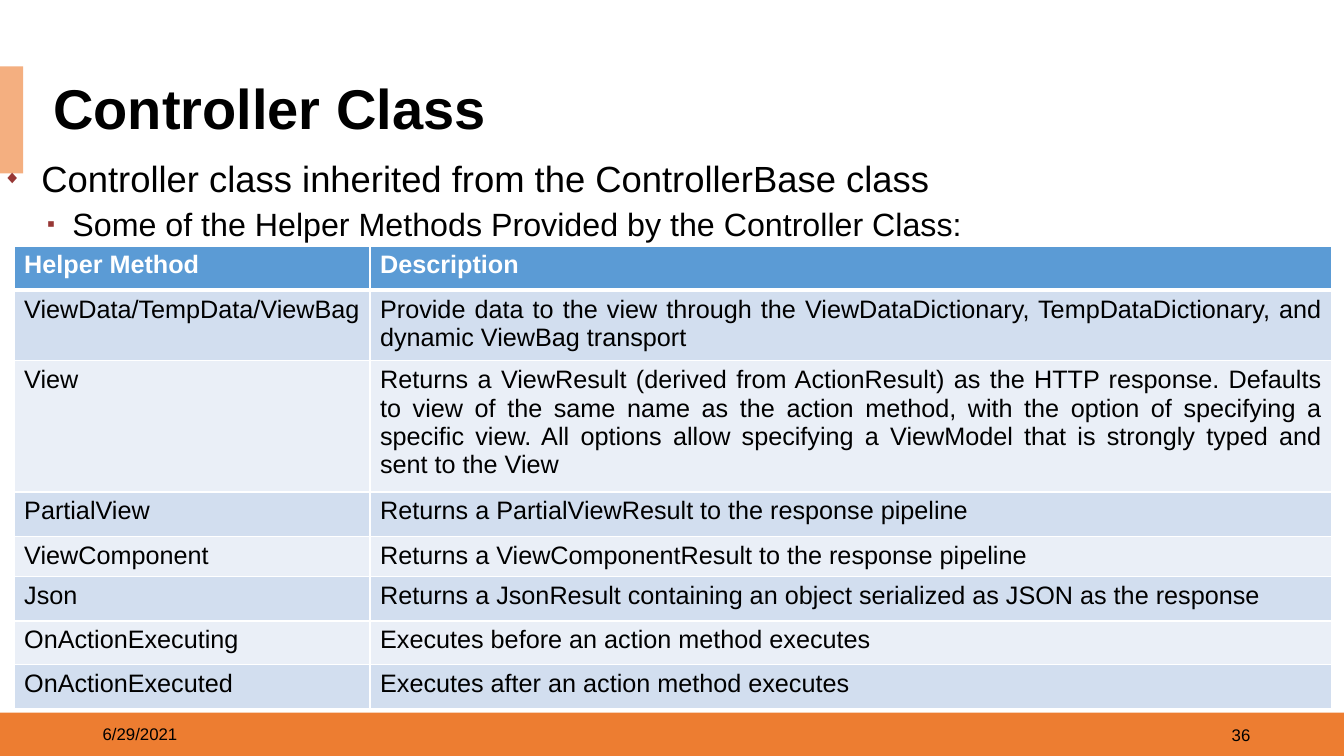
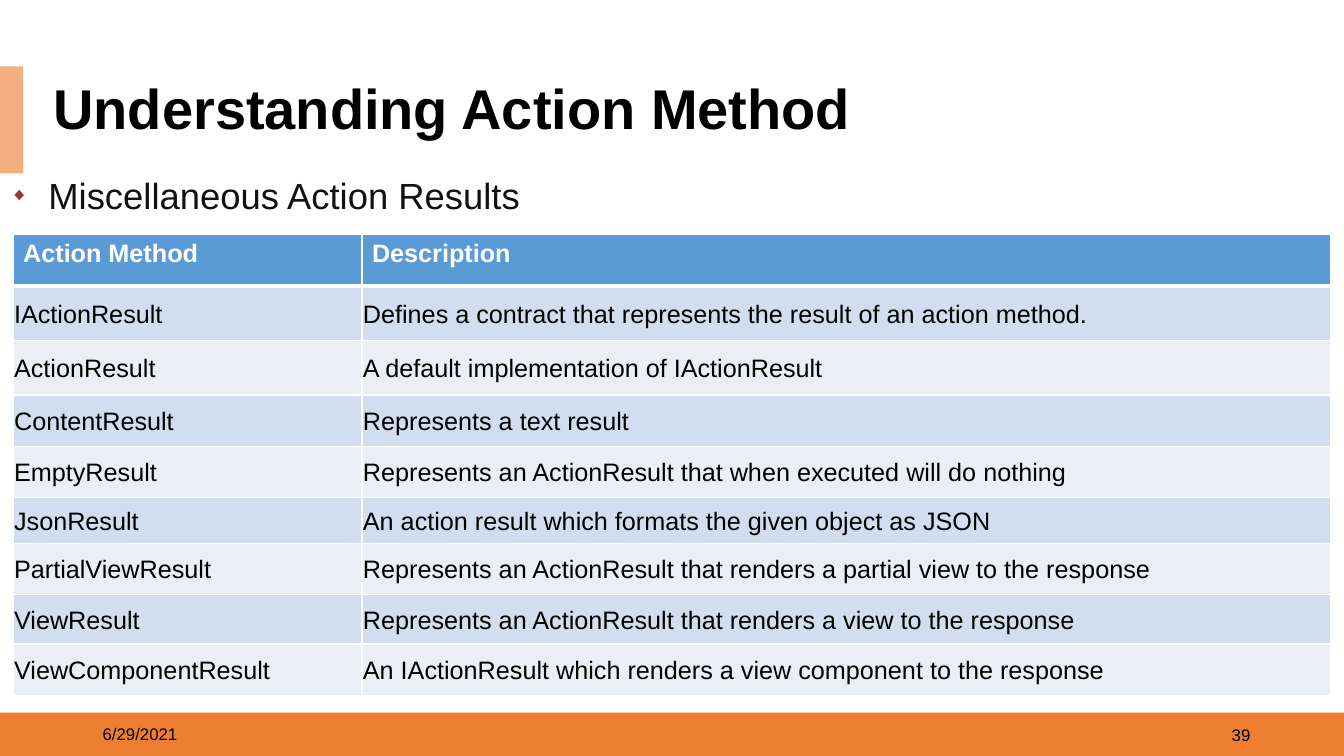
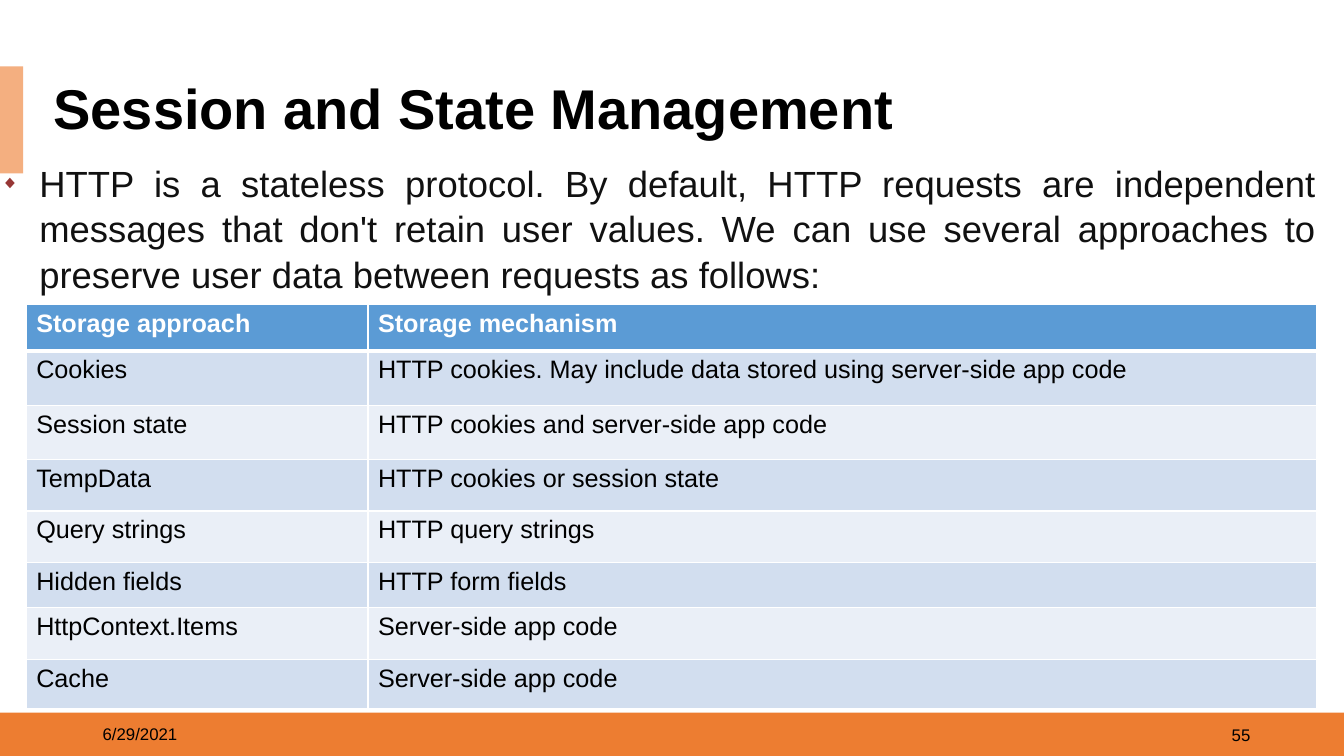
from lxml import etree
from pptx import Presentation
from pptx.dml.color import RGBColor
from pptx.enum.shapes import MSO_SHAPE
from pptx.enum.text import MSO_ANCHOR, MSO_AUTO_SIZE, PP_ALIGN
from pptx.oxml.ns import qn
from pptx.util import Inches, Pt

RECT = MSO_SHAPE.RECTANGLE
MIDDLE, TOP = MSO_ANCHOR.MIDDLE, MSO_ANCHOR.TOP
LEFT, RIGHT, JUSTIFY = PP_ALIGN.LEFT, PP_ALIGN.RIGHT, PP_ALIGN.JUSTIFY
FIXED, GROW = MSO_AUTO_SIZE.NONE, MSO_AUTO_SIZE.SHAPE_TO_FIT_TEXT

# Colours
WHITE = RGBColor(0xFF, 0xFF, 0xFF)
BLACK = RGBColor(0, 0, 0)
INK = RGBColor(0x11, 0x11, 0x11)
ORANGE = RGBColor(0xED, 0x7D, 0x31)
PEACH = RGBColor(0xF4, 0xAF, 0x80)
BLUE = RGBColor(0x5B, 0x9B, 0xD5)
PALE = RGBColor(0xD2, 0xDE, 0xEF)
LIGHT = RGBColor(0xEA, 0xEF, 0xF7)
MAROON = RGBColor(0x97, 0x37, 0x35)

# Text formats
HEAD = dict(size=Pt(40), bold=True)
FOOT = dict(size=Pt(12))
TH = dict(size=Pt(18), bold=True)
TD = dict(size=Pt(18), bold=False)

# Bullets: mark, size in percent, left margin, hang
DIAMOND = ("◆", 50, 0.38, 0.38)
SQUARE = ("▪", 70, 0.56, 0.25)


def place(shape, box):
    names = ("left", "top", "width", "height")
    for name, size in zip(names, box):
        setattr(shape, name, Inches(size))


def write(frame, text, style, color=BLACK, **layout):
    """Fill the first paragraph and give it its font and layout."""
    para = frame.paragraphs[0]
    run = para.add_run()
    run.text = text
    run.font.name = "Arial"
    run.font.color.rgb = color
    for name, value in style.items():
        setattr(run.font, name, value)
    for name, value in layout.items():
        setattr(para, name, value)
    return para


def add_bullet(para, mark, percent, margin, hang):
    props = para._p.get_or_add_pPr()
    props.set("marL", str(Inches(margin)))
    props.set("indent", str(-Inches(hang)))
    tint = etree.SubElement(props, qn("a:buClr"))
    etree.SubElement(tint, qn("a:srgbClr"), val=str(MAROON))
    etree.SubElement(props, qn("a:buSzPct"), val=str(percent * 1000))
    etree.SubElement(props, qn("a:buFont"), typeface="Arial")
    etree.SubElement(props, qn("a:buChar"), char=mark)


def add_item(shape, box, text, bullet, size, color, **layout):
    frame = shape.text_frame
    frame.word_wrap = True
    frame.auto_size = GROW
    para = write(frame, text, dict(size=Pt(size)), color,
                 line_spacing=1.04, **layout)
    add_bullet(para, *bullet)
    place(shape, box)


def add_note(slide, box, text, align):
    note = slide.shapes.add_textbox(*map(Inches, box))
    frame = note.text_frame
    frame.word_wrap = True
    frame.vertical_anchor = MIDDLE
    write(frame, text, FOOT, alignment=align)


def dress(layout, slide):
    """Put the two bands on the layout, behind its placeholders."""
    for holder in list(layout.placeholders)[2:]:
        layout.shapes.element.remove(holder.element)
    bands = ((0, 7.07, 13.33, 0.44, ORANGE), (0, 0.66, 0.23, 1.06, PEACH))
    for *box, color in bands:
        band = slide.shapes.add_shape(RECT, *map(Inches, box))
        band.shadow.inherit = False
        band.fill.solid()
        band.fill.fore_color.rgb = color
        band.line.fill.background()
        layout.shapes.element.insert(2, band.element)


def set_frame(slide, title, number, width=12.2):
    """Title, date and slide number."""
    head = slide.shapes.title
    place(head, (0.43, 0.79, width, 0.63))
    head.fill.solid()
    head.fill.fore_color.rgb = WHITE
    frame = head.text_frame
    frame.word_wrap = True
    frame.auto_size = FIXED
    frame.vertical_anchor = MIDDLE
    write(frame, title, HEAD, alignment=LEFT, line_spacing=0.9)
    add_note(slide, (0.92, 7.08, 3, 0.4), "6/29/2021", LEFT)
    add_note(slide, (9.5, 7.09, 3, 0.4), number, RIGHT)


def add_edges(cell, row):
    props = cell._tc.get_or_add_tcPr()
    widths = dict(L=1, R=1, T=3 if row == 1 else 1, B=3 if row == 0 else 1)
    for side, width in widths.items():
        line = etree.SubElement(props, qn("a:ln" + side), w=str(Pt(width)))
        fill = etree.SubElement(line, qn("a:solidFill"))
        etree.SubElement(fill, qn("a:srgbClr"), val=str(WHITE))


def add_grid(slide, spot, cols, heights, rows, align=LEFT, tight=False):
    """Banded table; align is for the last column, tight trims the margins."""
    box = (*spot, sum(cols), sum(heights))
    table = slide.shapes.add_table(len(rows), len(cols),
                                   *map(Inches, box)).table
    for col, width in zip(table.columns, cols):
        col.width = Inches(width)
    for r, (row, height) in enumerate(zip(rows, heights)):
        table.rows[r].height = Inches(height)
        for c, text in enumerate(row):
            cell = table.cell(r, c)
            add_edges(cell, r)
            cell.fill.solid()
            cell.fill.fore_color.rgb = (LIGHT, PALE)[r % 2] if r else BLUE
            cell.vertical_anchor = TOP
            para = write(cell.text_frame, text, TD if r else TH,
                         BLACK if r else WHITE,
                         alignment=align if r and c else LEFT)
            if tight and r:
                cell.vertical_anchor = MIDDLE
                para.line_spacing = 1.07
                for side in ("left", "right", "top", "bottom"):
                    setattr(cell, "margin_" + side, Inches(0.01))


HELPERS = [
    ("Helper Method", "Description"),
    ("ViewData/TempData/ViewBag",
     "Provide data to the view through the ViewDataDictionary, "
     "TempDataDictionary, and dynamic ViewBag transport"),
    ("View",
     "Returns a ViewResult (derived from ActionResult) as the HTTP response. "
     "Defaults to view of the same name as the action method, with the option "
     "of specifying a specific view. All options allow specifying a ViewModel "
     "that is strongly typed and sent to the View"),
    ("PartialView", "Returns a PartialViewResult to the response pipeline"),
    ("ViewComponent", "Returns a ViewComponentResult to the response pipeline"),
    ("Json", "Returns a JsonResult containing an object serialized as JSON "
             "as the response"),
    ("OnActionExecuting", "Executes before an action method executes"),
    ("OnActionExecuted", "Executes after an action method executes"),
]

RESULTS = [
    ("Action Method", "Description"),
    ("IActionResult",
     "Defines a contract that represents the result of an action method."),
    ("ActionResult", "A default implementation of IActionResult"),
    ("ContentResult", "Represents a text result"),
    ("EmptyResult",
     "Represents an ActionResult that when executed will do nothing"),
    ("JsonResult", "An action result which formats the given object as JSON"),
    ("PartialViewResult",
     "Represents an ActionResult that renders a partial view to the response"),
    ("ViewResult",
     "Represents an ActionResult that renders a view to the response"),
    ("ViewComponentResult",
     "An IActionResult which renders a view component to the response"),
]

STORES = [
    ("Storage approach", "Storage mechanism"),
    ("Cookies",
     "HTTP cookies. May include data stored using server-side app code"),
    ("Session state", "HTTP cookies and server-side app code"),
    ("TempData", "HTTP cookies or session state"),
    ("Query strings", "HTTP query strings"),
    ("Hidden fields", "HTTP form fields"),
    ("HttpContext.Items", "Server-side app code"),
    ("Cache", "Server-side app code"),
]


def main():
    deck = Presentation()
    deck.slide_width, deck.slide_height = Inches(13.33), Inches(7.5)
    layout = deck.slide_layouts[1]
    helper, action, state = [deck.slides.add_slide(layout) for _ in range(3)]
    dress(layout, helper)

    # Controller class
    set_frame(helper, "Controller Class", "36")
    add_item(helper.placeholders[1], (-0.07, 1.48, 13.22, 0.98),
             "Controller class inherited from the ControllerBase class",
             DIAMOND, 26, BLACK, alignment=JUSTIFY, space_before=Pt(0))
    add_grid(helper, (0.14, 2.44), (3.53, 9.54),
             (0.44, 0.69, 1.3, 0.44, 0.39, 0.44, 0.43, 0.44),
             HELPERS, align=JUSTIFY)
    add_item(helper.shapes.add_textbox(0, 0, 0, 0), (0.06, 1.96, 13.22, 0.49),
             "Some of the Helper Methods Provided by the Controller Class:",
             SQUARE, 23, BLACK, space_before=Pt(10), space_after=Pt(3))

    # Action results
    set_frame(action, "Understanding Action Method", "39")
    add_item(action.placeholders[1], (0, 1.65, 6.69, 0.54),
             "Miscellaneous Action Results",
             DIAMOND, 26, INK, alignment=JUSTIFY, space_before=Pt(0))
    add_grid(action, (0.13, 2.33), (3.46, 9.61),
             (0.51, 0.54, 0.54, 0.51, 0.51, 0.45, 0.51, 0.49, 0.51),
             RESULTS, tight=True)

    # Session and state
    set_frame(state, "Session and State Management", "55", width=12.9)
    add_item(state.placeholders[1], (-0.09, 1.53, 13.26, 1.41),
             "HTTP is a stateless protocol. By default, HTTP requests are "
             "independent messages that don't retain user values. We can use "
             "several approaches to preserve user data between requests as "
             "follows:",
             DIAMOND, 26, INK, alignment=JUSTIFY,
             space_before=Pt(12), space_after=Pt(12))
    add_grid(state, (0.26, 3.02), (3.39, 9.41),
             (0.46, 0.54, 0.54, 0.51, 0.51, 0.45, 0.51, 0.49), STORES)

    deck.save("out.pptx")


if __name__ == "__main__":
    main()
